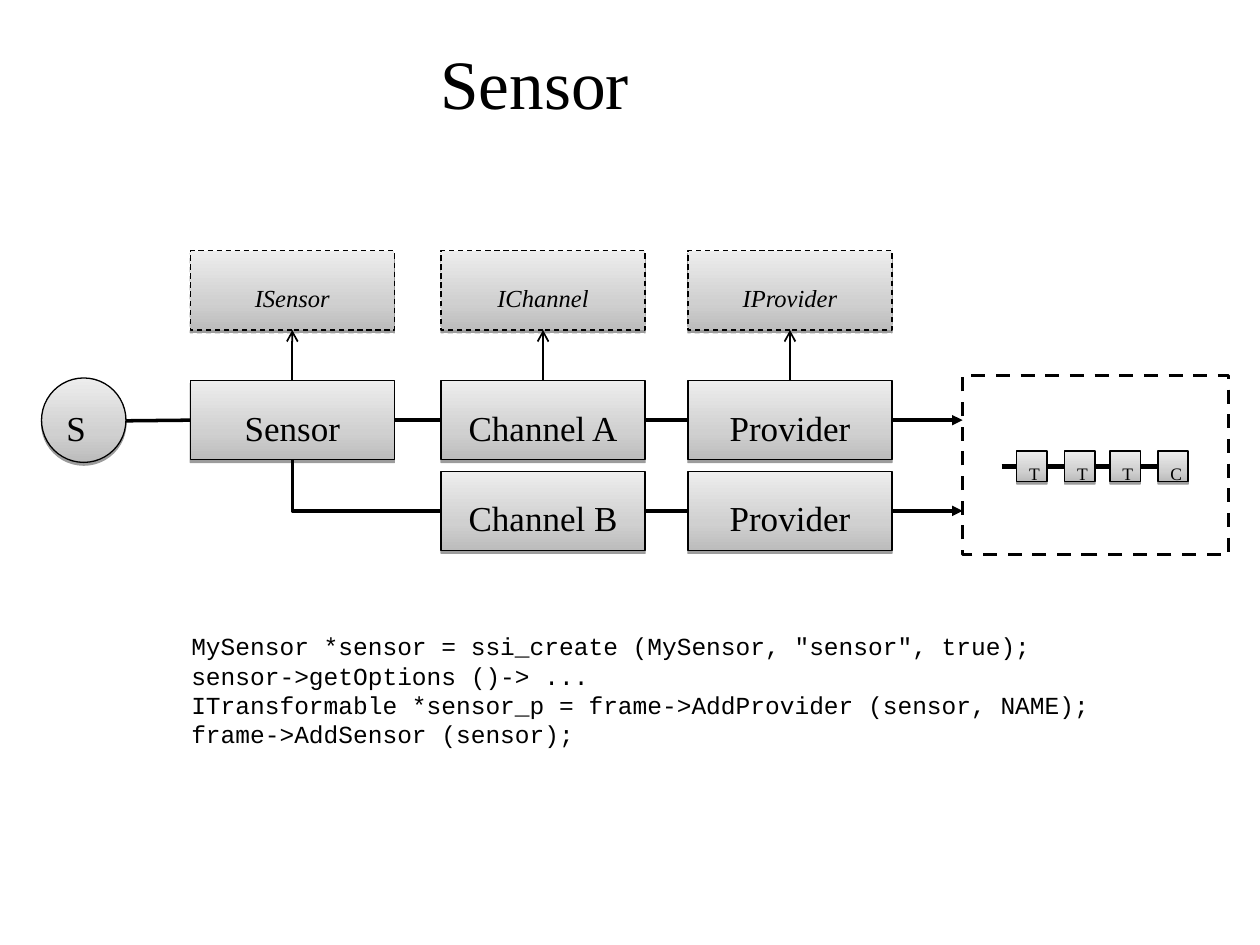
from copy import deepcopy

from pptx import Presentation
from pptx.dml.color import RGBColor
from pptx.enum.dml import MSO_LINE
from pptx.enum.shapes import MSO_CONNECTOR, MSO_SHAPE
from pptx.enum.text import MSO_ANCHOR, MSO_AUTO_SIZE, PP_ALIGN
from pptx.oxml import parse_xml
from pptx.oxml.ns import nsdecls, qn
from pptx.util import Emu, Inches, Pt

RECT, OVAL = MSO_SHAPE.RECTANGLE, MSO_SHAPE.OVAL
STRAIGHT, ELBOW = MSO_CONNECTOR.STRAIGHT, MSO_CONNECTOR.ELBOW
DASH = MSO_LINE.DASH
LEFT, CENTER = PP_ALIGN.LEFT, PP_ALIGN.CENTER
MIDDLE = MSO_ANCHOR.MIDDLE
SIDE_TOP, SIDE_LEFT, SIDE_BOTTOM, SIDE_RIGHT = range(4)
SERIF, MONO = "Times New Roman", "Courier New"
BLACK = "000000"
GRADIENT = [(0, "BCBCBC"), (0.35, "D0D0D0"), (1, "EDEDED")]

TITLE = "Sensor"
INTERFACES = ["ISensor", "IChannel", "IProvider"]
FIRST_CHAIN = ["Sensor", "Channel A", "Provider"]
SECOND_CHAIN = ["Channel B", "Provider"]
SOURCE = "S"
PIPELINE = [("T", 8.07), ("T", 8.45), ("T", 8.81), ("C", 9.19)]
CODE = [
    'MySensor *sensor = ssi_create (MySensor, "sensor", true);',
    "sensor->getOptions ()-> ...",
    "ITransformable *sensor_p = frame->AddProvider (sensor, NAME);",
    "frame->AddSensor (sensor);",
]

COLUMNS = [1.51, 3.5, 5.46]
INTERFACE_ROW, FIRST_ROW, SECOND_ROW = 1.99, 3.02, 3.74
BOX_W, BOX_H = 1.62, 0.63
FRAME = (7.64, 2.98, 2.11, 1.42)
STEP_TOP, STEP_SIZE, PIPELINE_START = 3.58, 0.24, 7.95


def rgb(value):
    return RGBColor.from_string(value)


def style_text(frame, size, font=SERIF, italic=None):
    for paragraph in frame.paragraphs:
        for run in paragraph.runs:
            run.font.size, run.font.name = Pt(size), font
            run.font.italic = italic
            run.font.color.rgb = rgb(BLACK)


def outline(shape, width, dash=None):
    shape.line.color.rgb = rgb(BLACK)
    shape.line.width = Pt(width)
    if dash:
        shape.line.dash_style = dash


def shade(shape):
    """Three-stop grey gradient, light on top, with a soft shadow below."""
    shape.fill.gradient()
    shape.fill.gradient_angle = 90
    properties = shape._element.spPr
    stop_list = properties.find(".//" + qn("a:gsLst"))
    stop_list.append(deepcopy(stop_list[0]))
    for stop, (position, colour) in zip(shape.fill.gradient_stops, GRADIENT):
        stop.position, stop.color.rgb = position, rgb(colour)
    shape.shadow.inherit = False
    properties.find(qn("a:effectLst")).append(parse_xml(
        f'<a:outerShdw {nsdecls("a")} blurRad="0" dist="{Pt(1.6)}" dir="5400000" '
        f'rotWithShape="0"><a:srgbClr val="{BLACK}"><a:alpha val="38000"/>'
        "</a:srgbClr></a:outerShdw>"))


def add_node(shapes, label, place, size, kind=RECT, align=CENTER, dash=None, italic=None):
    node = shapes.add_shape(kind, *map(Inches, place))
    shade(node)
    outline(node, 0.75, dash)
    frame = node.text_frame
    frame.text = label
    frame.word_wrap = False
    frame.vertical_anchor = MIDDLE
    frame.margin_left = frame.margin_right = Inches(0.1)
    frame.margin_top, frame.margin_bottom = Inches(0.16), Inches(0.05)
    frame.paragraphs[0].alignment = align
    style_text(frame, size, italic=italic)
    return node


def add_link(shapes, width, start=(0, 0), end=(0, 0), source=None, target=None,
             head=None, kind=STRAIGHT):
    """Line between points; source and target are (shape, side) joints."""
    link = shapes.add_connector(kind, *map(Inches, (*start, *end)))
    if source:
        link.begin_connect(*source)
    if target:
        link.end_connect(*target)
    outline(link, width)
    properties = link._element.spPr
    if head:
        properties.find(qn("a:ln")).append(
            parse_xml(f'<a:tailEnd {nsdecls("a")} type="{head}"/>'))
    properties.append(parse_xml(f'<a:effectLst {nsdecls("a")}/>'))
    return link


def add_corner_link(shapes, source, target):
    """One-bend link that leaves the source downwards and enters the target's left."""
    link = add_link(shapes, 2, source=(source, SIDE_BOTTOM),
                    target=(target, SIDE_LEFT), kind=ELBOW)
    x, y, across, down = link.left, link.top, link.width, link.height
    properties = link._element.spPr
    properties.find(qn("a:prstGeom")).set("prst", "bentConnector2")
    turn = properties.find(qn("a:xfrm"))
    turn.set("rot", "16200000")
    turn.set("flipH", "1")
    # The stored box is unrotated, so its sides swap around the same centre.
    link.left, link.top = Emu(x + (across - down) // 2), Emu(y + (down - across) // 2)
    link.width, link.height = down, across


def add_row(shapes, labels, columns, top, size, **look):
    return [add_node(shapes, label, (left, top, BOX_W, BOX_H), size, **look)
            for label, left in zip(labels, columns)]


def add_diagram(shapes):
    interfaces = add_row(shapes, INTERFACES, COLUMNS, INTERFACE_ROW, 14,
                         dash=DASH, italic=True)
    first = add_row(shapes, FIRST_CHAIN, COLUMNS, FIRST_ROW, 20)
    second = add_row(shapes, SECOND_CHAIN, COLUMNS[1:], SECOND_ROW, 20)
    source = add_node(shapes, SOURCE, (0.33, 3, 0.67, 0.67), 20, kind=OVAL, align=LEFT)

    for part, interface in zip(first, interfaces):
        add_link(shapes, 1, source=(part, SIDE_TOP),
                 target=(interface, SIDE_BOTTOM), head="arrow")
    add_link(shapes, 2, start=(1, 3.34), target=(first[0], SIDE_LEFT))
    for chain in (first, second):
        for before, after in zip(chain, chain[1:]):
            add_link(shapes, 2, source=(before, SIDE_RIGHT), target=(after, SIDE_LEFT))
    add_corner_link(shapes, first[0], second[0])

    frame = shapes.add_shape(RECT, *map(Inches, FRAME))
    frame.fill.background()
    frame.shadow.inherit = False
    outline(frame, 2, DASH)
    for chain, top in ((first, FIRST_ROW), (second, SECOND_ROW)):
        add_link(shapes, 2, end=(FRAME[0], top + BOX_H / 2),
                 source=(chain[-1], SIDE_RIGHT), head="triangle")


def add_pipeline(shapes):
    steps = [add_node(shapes, label, (left, STEP_TOP, STEP_SIZE, STEP_SIZE), 10, align=LEFT)
             for label, left in PIPELINE]
    add_link(shapes, 3, start=(PIPELINE_START, STEP_TOP + STEP_SIZE / 2),
             target=(steps[0], SIDE_LEFT))
    for before, after in zip(steps, steps[1:]):
        add_link(shapes, 3, source=(before, SIDE_RIGHT), target=(after, SIDE_LEFT))


def add_code(shapes):
    listing = shapes.add_textbox(*map(Inches, (1.42, 4.96, 7.37, 1.04)))
    frame = listing.text_frame
    frame.text = "\n".join(CODE)
    frame.word_wrap = False
    frame.auto_size = MSO_AUTO_SIZE.SHAPE_TO_FIT_TEXT
    for paragraph in frame.paragraphs:
        indent = paragraph._p.get_or_add_pPr()
        indent.set("marL", str(Inches(0.38)))
        indent.set("indent", str(-Inches(0.38)))
    style_text(frame, 14, MONO)


def main():
    deck = Presentation()
    deck.slide_width, deck.slide_height = Inches(10), Inches(7.5)
    slide = deck.slides.add_slide(deck.slide_layouts[5])
    title = slide.shapes.title
    title.left, title.top, title.width, title.height = map(Inches, (1.33, 0.3, 5.83, 0.7))
    title.text_frame.text = TITLE
    title.text_frame.vertical_anchor = MIDDLE
    title.text_frame.paragraphs[0].alignment = CENTER
    style_text(title.text_frame, 39.6)
    add_diagram(slide.shapes)
    add_pipeline(slide.shapes.add_group_shape().shapes)
    add_code(slide.shapes)
    deck.save("out.pptx")


if __name__ == "__main__":
    main()
